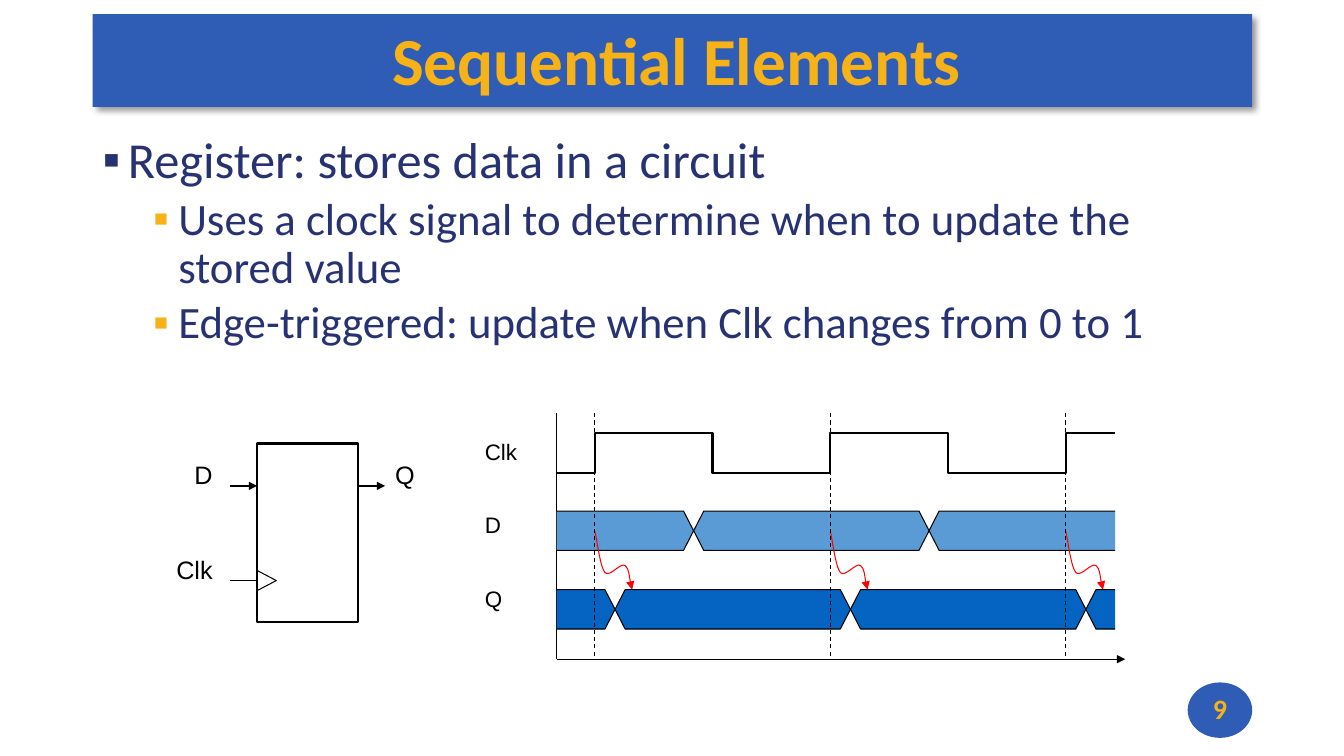
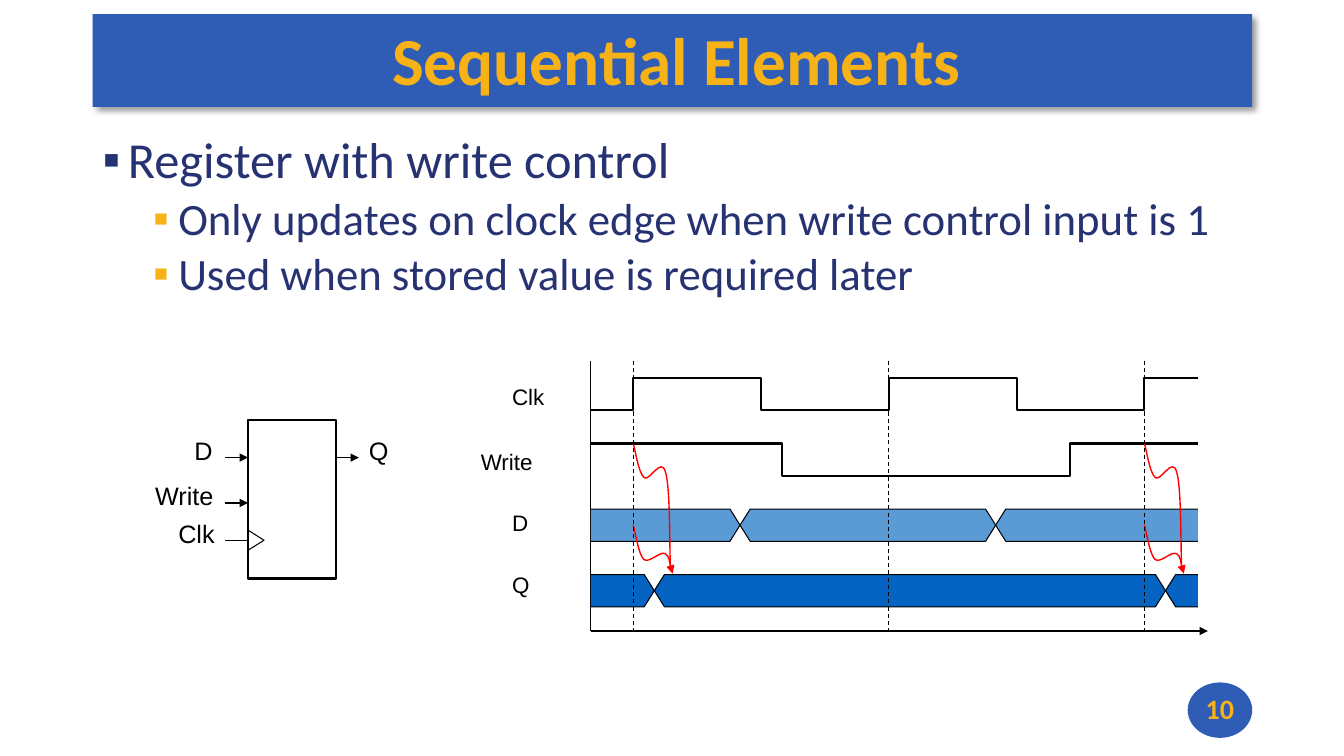
from dataclasses import dataclass

from lxml import etree
from pptx import Presentation
from pptx import util as u
from pptx.dml.color import RGBColor
from pptx.enum import dml, shapes, text
from pptx.oxml import ns

BLUE = RGBColor(0x2F, 0x5C, 0xB5)
GOLD = RGBColor(0xF7, 0xB2, 0x17)
NAVY = RGBColor(0x27, 0x32, 0x72)
BLACK = RGBColor(0, 0, 0)
RED = RGBColor(0xFF, 0, 0)
LIGHT_BUS = RGBColor(0x5B, 0x9B, 0xD5)
DARK_BUS = RGBColor(0x05, 0x63, 0xC1)

HEADING_FONT = "Calibri"
LABEL_FONT = "Arial"

# Control points of the causality arrows, relative to their start
SHORT_CURVE = [(0, 0), (0.02, 0.07), (0.05, 0.35), (0.1, 0.41), (0.15, 0.46),
               (0.25, 0.31), (0.3, 0.34), (0.34, 0.37), (0.35, 0.53), (0.37, 0.58)]
LONG_CURVE = [(0, 0), (0.02, 0.05), (0.05, 0.29), (0.11, 0.34), (0.16, 0.38),
              (0.28, 0.13), (0.32, 0.28), (0.37, 0.43), (0.36, 1.03), (0.37, 1.23)]


@dataclass(frozen=True)
class Timing:
    """Extent of a timing diagram and its rising clock edges."""
    start: float
    end: float
    top: float
    bottom: float
    first_edge: float
    period: float
    swing: float

    @property
    def edges(self):
        return [self.first_edge + i * self.period for i in range(3)]


# Basic elements

def add_xml(parent, tag, **attributes):
    return etree.SubElement(parent, ns.qn(tag), attributes)


def style_run(paragraph, font, size, color, bold=False):
    for span in paragraph.runs:
        span.font.name = font
        span.font.size = u.Pt(size)
        span.font.color.rgb = color
        span.font.bold = bold


def style_line(shape, color, width, arrow=False):
    shape.line.color.rgb = color
    shape.line.width = u.Pt(width)
    if arrow:
        add_xml(shape.line._get_or_add_ln(), "a:tailEnd", type="triangle")


def add_line(target, begin, end, width=0.75, arrow=False, dashed=False):
    line = target.add_connector(shapes.MSO_CONNECTOR.STRAIGHT,
                                *map(u.Inches, begin + end))
    line.line.color.rgb = BLACK
    if dashed:
        line.line.dash_style = dml.MSO_LINE.DASH
    style_line(line, BLACK, width, arrow)
    add_xml(line.element.spPr, "a:effectLst")


def add_outline(target, points, fill=None, color=BLACK, width=0.75, close=False):
    points = [(u.Inches(x), u.Inches(y)) for x, y in points]
    builder = target.build_freeform(*points[0])
    builder.add_line_segments(points[1:], close=close)
    shape = builder.convert_to_shape()
    shape.shadow.inherit = False
    if fill is None:
        shape.fill.background()
    else:
        shape.fill.solid()
        shape.fill.fore_color.rgb = fill
    style_line(shape, color, width)
    return shape


def add_curve(target, origin, offsets, width, arrow=False):
    """Draw cubic curves: every three points after the first make one curve."""
    x, y = origin
    shape = add_outline(target, [(x + dx, y + dy) for dx, dy in offsets],
                        color=RED, width=width)
    outline = next(shape.element.iter(ns.qn("a:path")))
    segments = list(outline.iter(ns.qn("a:lnTo")))
    for first in range(0, len(segments), 3):
        curve = add_xml(outline, "a:cubicBezTo")
        for segment in segments[first:first + 3]:
            curve.append(segment[0])
            outline.remove(segment)
    if arrow:
        style_line(shape, RED, width, arrow=True)


def add_label(target, words, left, top, size):
    box = target.add_textbox(*map(u.Inches, (left, top, 0.95, 0.4)))
    box.text_frame.word_wrap = True
    box.text_frame.text = words
    style_run(box.text_frame.paragraphs[0], LABEL_FONT, size, BLACK)


# Shared slide frame

def add_panel(slide, kind, place, words, size, insets):
    panel = slide.shapes.add_shape(kind, *map(u.Inches, place))
    panel.shadow.inherit = False
    panel.fill.solid()
    panel.fill.fore_color.rgb = BLUE
    panel.line.fill.background()
    frame = panel.text_frame
    frame.margin_left, frame.margin_top, frame.margin_right, frame.margin_bottom = map(
        u.Inches, insets)
    frame.vertical_anchor = text.MSO_ANCHOR.MIDDLE
    frame.text = words
    frame.paragraphs[0].alignment = text.PP_ALIGN.CENTER
    style_run(frame.paragraphs[0], HEADING_FONT, size, GOLD, bold=True)
    return panel


def add_slide(deck, title, number, points):
    slide = deck.slides.add_slide(deck.slide_layouts[6])
    band = add_panel(slide, shapes.MSO_SHAPE.RECTANGLE, (0.92, 0.14, 11.5, 0.92),
                     title, 48, (0.08, 0, 0, 0.04))
    effects = band.element.spPr.find(ns.qn("a:effectLst"))
    shadow = add_xml(effects, "a:outerShdw", blurRad=str(u.Pt(4)), dist=str(u.Pt(3)),
                     dir="2700000", algn="tl", rotWithShape="0")
    add_xml(add_xml(shadow, "a:srgbClr", val="000000"), "a:alpha", val="40000")
    add_panel(slide, shapes.MSO_SHAPE.OVAL, (11.78, 6.77, 0.64, 0.55),
              str(number), 20, (0, 0, 0, 0.03))
    add_bullets(slide, points)
    return slide


def add_bullets(slide, points):
    """The first point is the main one, the others stand below it."""
    box = slide.shapes.add_textbox(*map(u.Inches, (0.92, 1.29, 11.5, 2.2)))
    frame = box.text_frame
    frame.word_wrap = True
    for i, words in enumerate(points):
        para = frame.paragraphs[0] if i == 0 else frame.add_paragraph()
        para.text = words
        para.level = min(i, 1)
        para.line_spacing = 0.9
        para.space_before = u.Pt(5 if i else 0)
        props = para._p.get_or_add_pPr()
        props.set("marL", str(u.Inches(0.75 if i else 0.25)))
        props.set("indent", str(u.Inches(-0.25)))
        color = add_xml(props, "a:buClr")
        add_xml(color, "a:srgbClr", val=str(GOLD if i else NAVY))
        add_xml(props, "a:buFont", typeface=LABEL_FONT)
        add_xml(props, "a:buChar", char="▪")
        style_run(para, HEADING_FONT, 32 if i else 36, NAVY)


# Register symbol

def add_register(slide, place, pin, inputs, clock_y, notch, labels):
    """Draw a register with input arrows, one output and a clock notch."""
    symbol = slide.shapes.add_group_shape().shapes
    left, top, width, height = place
    right = left + width
    body = symbol.add_shape(shapes.MSO_SHAPE.RECTANGLE, *map(u.Inches, place))
    body.shadow.inherit = False
    body.fill.background()
    style_line(body, BLACK, 1.5)
    for y in inputs:
        add_line(symbol, (left - pin, y), (left, y), 1, arrow=True)
    add_line(symbol, (right, inputs[0]), (right + pin, inputs[0]), 1, arrow=True)
    add_line(symbol, (left - pin, clock_y), (left, clock_y))
    depth, half = notch
    add_outline(symbol, [(left, clock_y - half), (left + depth, clock_y),
                         (left, clock_y + half)])
    for words, x, y in labels:
        add_label(symbol, words, x, y, 18)


# Timing diagram

def add_trace(target, timing, high, toggles, raised=False):
    """Draw a two-level signal that changes level at each toggle."""
    levels = (high + timing.swing, high)
    points = [(timing.start, levels[raised])]
    for x in toggles:
        points.append((x, levels[raised]))
        raised = not raised
        points.append((x, levels[raised]))
    points.append((timing.end, levels[raised]))
    add_outline(target, points, width=1.5)


def add_clock(target, timing, high):
    toggles = [timing.first_edge + i * timing.period / 2 for i in range(5)]
    add_trace(target, timing, high, toggles)


def add_bus(target, timing, top, crossings, fill):
    """Draw a data bus whose value changes at each crossing."""
    middle, bottom = top + timing.swing / 2, top + timing.swing
    slant = 0.1
    stops = [timing.start, *crossings, timing.end]
    for left, right in zip(stops, stops[1:]):
        left_tip = [(left + slant, bottom), (left, middle), (left + slant, top)]
        right_tip = [(right - slant, top), (right, middle), (right - slant, bottom)]
        if left == timing.start:
            points = [(left, top), *right_tip, (left, bottom)]
        elif right == timing.end:
            points = [(right, bottom), *left_tip, (right, top)]
        else:
            points = left_tip + right_tip
        add_outline(target, points, fill, close=len(points) == 6)


def add_axes(target, timing):
    corner = (timing.start, timing.bottom)
    add_line(target, corner, (timing.end + 0.1, timing.bottom), arrow=True)
    add_line(target, corner, (timing.start, timing.top))


def add_edge_marks(target, timing):
    for x in timing.edges:
        add_line(target, (x, timing.top), (x, timing.bottom), dashed=True)


def build_register_slide(deck):
    slide = add_slide(deck, "Sequential Elements", 9, [
        "Register: stores data in a circuit",
        "Uses a clock signal to determine when to update the stored value",
        "Edge-triggered: update when Clk changes from 0 to 1"])
    add_register(slide, (2.55, 4.4, 1, 1.77), 0.27, [4.82], 5.76, (0.19, 0.1),
                 [("D", 1.83, 4.51), ("Clk", 1.65, 5.45), ("Q", 3.82, 4.51)])
    timing = Timing(5.52, 11.06, 4.1, 6.54, 5.9, 2.335, 0.39)
    diagram = slide.shapes.add_group_shape().shapes
    add_axes(diagram, timing)
    for words, y in [("Clk", 4.3), ("D", 5.02), ("Q", 5.76)]:
        add_label(diagram, words, 4.71, y, 16)
    add_clock(diagram, timing, 4.3)
    add_bus(diagram, timing, 5.07, [x + 0.98 for x in timing.edges[:2]], LIGHT_BUS)
    add_bus(diagram, timing, 5.85, [x + 0.2 for x in timing.edges], DARK_BUS)
    for x in timing.edges:
        add_curve(diagram, (x, 5.27), SHORT_CURVE, 0.75, arrow=True)
    add_edge_marks(diagram, timing)


def build_write_slide(deck):
    slide = add_slide(deck, "Sequential Elements", 10, [
        "Register with write control",
        "Only updates on clock edge when write control input is 1",
        "Used when stored value is required later"])
    add_register(slide, (2.46, 4.17, 0.87, 1.57), 0.23, [4.54, 4.99], 5.36, (0.16, 0.1),
                 [("D", 1.83, 4.27), ("Write", 1.44, 4.72), ("Clk", 1.67, 5.09),
                  ("Q", 3.56, 4.27)])
    timing = Timing(5.86, 11.88, 3.58, 6.26, 6.28, 2.535, 0.32)
    diagram = slide.shapes.add_group_shape().shapes
    add_axes(diagram, timing)
    for words, x, y in [("Clk", 4.98, 3.75), ("Write", 4.67, 4.4),
                        ("D", 4.98, 5), ("Q", 4.98, 5.62)]:
        add_label(diagram, words, x, y, 16)
    add_clock(diagram, timing, 3.75)
    add_trace(diagram, timing, 4.4, [7.76, 10.61], raised=True)
    add_bus(diagram, timing, 5.05, [x + 1.06 for x in timing.edges[:2]], LIGHT_BUS)
    # Q changes only at the edges where Write is high
    updates = timing.edges[::2]
    add_bus(diagram, timing, 5.7, [x + 0.21 for x in updates], DARK_BUS)
    flat_curve = [(dx * 1.06, dy * 0.83) for dx, dy in SHORT_CURVE]
    for x in updates:
        add_curve(diagram, (x, 5.21), flat_curve, 1, arrow=True)
        add_curve(diagram, (x, 4.4), LONG_CURVE, 1)
    add_edge_marks(diagram, timing)


def main():
    deck = Presentation()
    deck.slide_width = u.Inches(13.33)
    deck.slide_height = u.Inches(7.5)
    build_register_slide(deck)
    build_write_slide(deck)
    deck.save("out.pptx")


if __name__ == "__main__":
    main()
